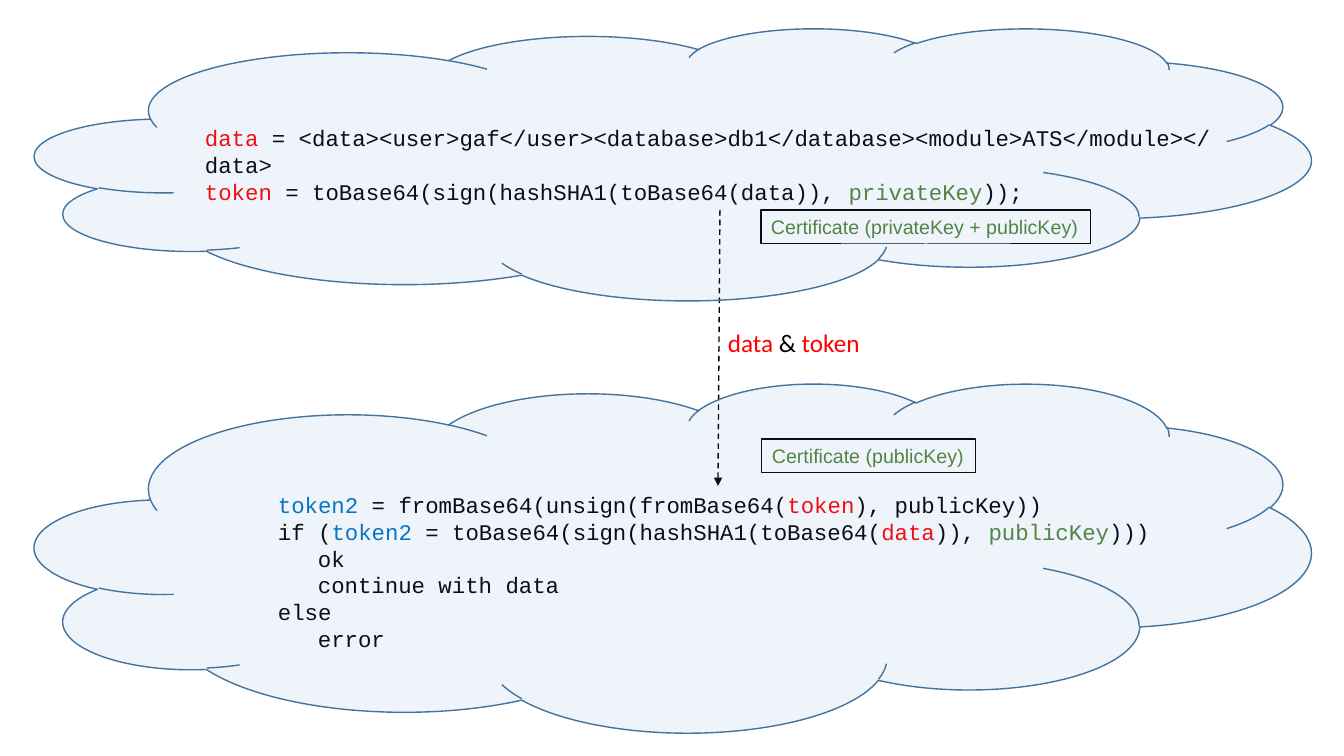
import dataclasses

import lxml.etree
import pptx
import pptx.dml.color
import pptx.enum.dml
import pptx.enum.shapes
import pptx.enum.text
import pptx.oxml.ns
import pptx.util

SCALE = 914400 / 100.8  # EMU per pixel

RED = pptx.dml.color.RGBColor(0xFF, 0x00, 0x00)
BLUE = pptx.dml.color.RGBColor(0x00, 0x70, 0xC0)
GREEN = pptx.dml.color.RGBColor(0x54, 0x82, 0x35)
BLACK = pptx.dml.color.RGBColor(0x00, 0x00, 0x00)
CLOUD_FILL = pptx.dml.color.RGBColor(0x5B, 0x9B, 0xD5)
CLOUD_LINE = pptx.dml.color.RGBColor(0x43, 0x73, 0x9E)

CODE_INDENT = 40  # three characters of code
BELOW_SENDER_CODE = 210  # clear of the last line of the sender's code


@dataclasses.dataclass(frozen=True)
class Area:
    left: int
    top: int
    width: int
    height: int


@dataclasses.dataclass(frozen=True)
class Line:
    spans: tuple[tuple[str, pptx.dml.color.RGBColor], ...]
    indent: int = 0


@dataclasses.dataclass(frozen=True)
class TextBlock:
    area: Area
    lines: tuple[Line, ...]
    font: str
    size: int
    wrap: bool = True
    framed: bool = False


def plain(text: str, indent: int = 0) -> Line:
    """Return a line in black only."""
    return Line(((text, BLACK),), indent)


def certificate(area: Area, text: str) -> TextBlock:
    """Return a framed certificate label."""
    return TextBlock(area, (Line(((text, GREEN),)),), "Arial", 14, wrap=False, framed=True)


SENDER_CODE = TextBlock(
    Area(195, 119, 1049, 65),
    (
        Line((
            ("data", RED),
            (" = <data><user>gaf</user><database>db1</database><module>ATS</module></data>", BLACK),
        )),
        Line((
            ("token", RED),
            (" = toBase64(sign(hashSHA1(toBase64(data)), ", BLACK),
            ("privateKey", GREEN),
            ("));", BLACK),
        )),
    ),
    "Courier New",
    16,
)
RECEIVER_CODE = TextBlock(
    Area(268, 486, 900, 173),
    (
        Line((
            ("token2", BLUE),
            (" = fromBase64(unsign(fromBase64(", BLACK),
            ("token", RED),
            ("), publicKey))", BLACK),
        )),
        Line((
            ("if (", BLACK),
            ("token2", BLUE),
            (" = toBase64(sign(hashSHA1(toBase64(", BLACK),
            ("data", RED),
            (")), ", BLACK),
            ("publicKey", GREEN),
            (")))", BLACK),
        )),
        plain("ok", CODE_INDENT),
        plain("continue with data", CODE_INDENT),
        plain("else"),
        plain("error", CODE_INDENT),
    ),
    "Courier New",
    16,
)
RECEIVER_CERTIFICATE = certificate(Area(762, 439, 214, 34), "Certificate (publicKey)")
SENDER_CERTIFICATE = certificate(
    Area(761, BELOW_SENDER_CODE, 330, 34), "Certificate (privateKey + publicKey)"
)
MESSAGE_LABEL = TextBlock(
    Area(718, 322, 153, 40),
    (Line((("data", RED), (" & ", BLACK), ("token", RED))),),
    "Calibri",
    18,
    wrap=False,
)
CLOUDS = (Area(35, 28, 1276, 272), Area(35, 383, 1276, 349))


def px(pixels: int) -> pptx.util.Emu:
    """Turn pixels into EMU."""
    return pptx.util.Emu(round(pixels * SCALE))


def bounds(area: Area) -> tuple[pptx.util.Emu, ...]:
    """Return left, top, width and height in EMU."""
    return px(area.left), px(area.top), px(area.width), px(area.height)


def add_text(page: pptx.slide.Slide, block: TextBlock) -> None:
    """Draw a block of coloured text, with a frame if it has one."""
    if block.framed:
        box = page.shapes.add_shape(pptx.enum.shapes.MSO_SHAPE.RECTANGLE, *bounds(block.area))
        box.shadow.inherit = False
        box.fill.background()
        box.line.color.rgb = BLACK
        box.line.width = pptx.util.Pt(0.75)
    else:
        box = page.shapes.add_textbox(*bounds(block.area))
    frame = box.text_frame
    frame.word_wrap = block.wrap
    frame.auto_size = pptx.enum.text.MSO_AUTO_SIZE.SHAPE_TO_FIT_TEXT
    frame.vertical_anchor = pptx.enum.text.MSO_ANCHOR.TOP
    for number, line in enumerate(block.lines):
        para = frame.add_paragraph() if number else frame.paragraphs[0]
        para.alignment = pptx.enum.text.PP_ALIGN.LEFT
        if line.indent:
            para._p.get_or_add_pPr().set("marL", str(px(line.indent)))
        for text, color in line.spans:
            span = para.add_run()
            span.text = text
            span.font.name = block.font
            span.font.size = pptx.util.Pt(block.size)
            span.font.color.rgb = color


def add_message_arrow(page: pptx.slide.Slide) -> None:
    """Draw the dashed arrow from sender to receiver."""
    arrow = page.shapes.add_connector(
        pptx.enum.shapes.MSO_CONNECTOR.STRAIGHT, px(720), px(BELOW_SENDER_CODE), px(718), px(486)
    )
    arrow.line.color.rgb = BLACK
    arrow.line.width = pptx.util.Pt(1)
    arrow.line.dash_style = pptx.enum.dml.MSO_LINE.DASH
    properties = arrow._element.spPr
    outline = properties.find(pptx.oxml.ns.qn("a:ln"))
    lxml.etree.SubElement(outline, pptx.oxml.ns.qn("a:tailEnd"), type="triangle")
    lxml.etree.SubElement(properties, pptx.oxml.ns.qn("a:effectLst"))


def add_cloud(page: pptx.slide.Slide, area: Area) -> None:
    """Draw a cloud with a 10 % opaque fill."""
    cloud = page.shapes.add_shape(pptx.enum.shapes.MSO_SHAPE.CLOUD, *bounds(area))
    cloud.shadow.inherit = False
    cloud.fill.solid()
    cloud.fill.fore_color.rgb = CLOUD_FILL
    tint = cloud._element.spPr.find(pptx.oxml.ns.qn("a:solidFill"))[0]
    lxml.etree.SubElement(tint, pptx.oxml.ns.qn("a:alpha"), val="10000")
    cloud.line.color.rgb = CLOUD_LINE
    cloud.line.width = pptx.util.Pt(1)


def main() -> None:
    """Build the slide and save it."""
    deck = pptx.Presentation()
    deck.slide_width, deck.slide_height = px(1344), px(756)
    page = deck.slides.add_slide(deck.slide_layouts[6])
    for block in (SENDER_CODE, RECEIVER_CODE, RECEIVER_CERTIFICATE, SENDER_CERTIFICATE):
        add_text(page, block)
    add_message_arrow(page)
    add_text(page, MESSAGE_LABEL)
    for area in CLOUDS:
        add_cloud(page, area)
    deck.save("out.pptx")


main()
